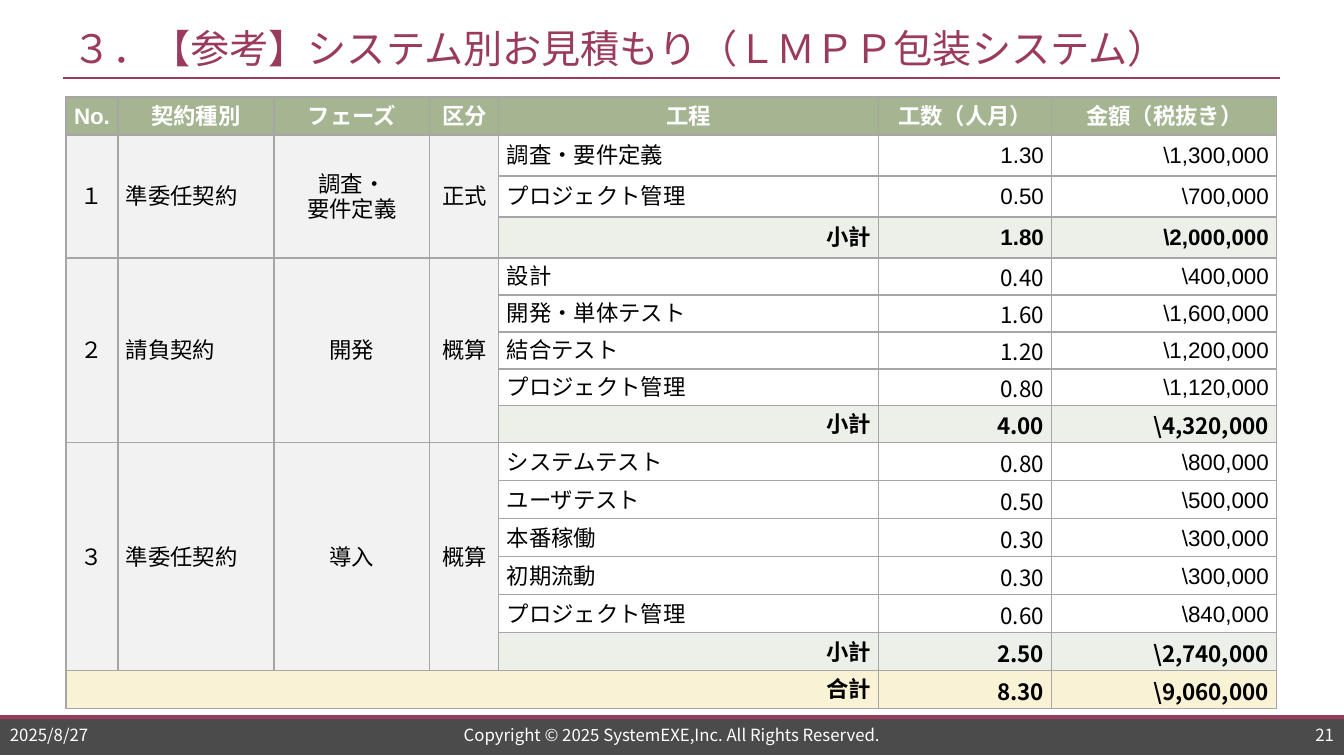
from lxml.etree import SubElement
from pptx import Presentation
from pptx.dml.color import RGBColor
from pptx.enum.shapes import MSO_CONNECTOR as Connector, MSO_SHAPE as Shape
from pptx.enum.text import MSO_ANCHOR as Anchor, PP_ALIGN as Align
from pptx.oxml.ns import qn
from pptx.util import Pt

WINE = RGBColor(0x9A, 0x3B, 0x5D)
CHARCOAL = RGBColor(0x4B, 0x4B, 0x4B)
WHITE = RGBColor(0xFF, 0xFF, 0xFF)
BLACK = RGBColor(0x00, 0x00, 0x00)
SAGE = RGBColor(0xA5, 0xB5, 0x92)
PALE_SAGE = RGBColor(0xED, 0xF0, 0xE9)
GREY = RGBColor(0xF2, 0xF2, 0xF2)
CREAM = RGBColor(0xFA, 0xF2, 0xD4)
BORDER = RGBColor(0xA6, 0xA6, 0xA6)
SANS, GOTHIC = "Arial", "Noto Sans CJK JP"

TITLE = "３．【参考】システム別お見積もり（ＬＭＰＰ包装システム）"
FOOTERS = [
    ("Copyright © 2025 SystemEXE,Inc. All Rights Reserved.", (335, 723, 674, 24), Align.CENTER),
    ("2025/8/27", (0, 723, 158, 24), Align.LEFT),
    ("21", (1186, 723, 158, 24), Align.RIGHT),
]
RULES = [((0, 717), (1344, 717), 2.75), ((63, 78), (1280, 78), 1.5)]
HEADINGS = ["No.", "契約種別", "フェーズ", "区分", "工程", "工数（人月）", "金額（税抜き）"]
COLUMN_WIDTHS = [52, 156, 156, 69, 380, 173, 225]
HEADER_HEIGHT, LAST_HEIGHT = 38, 38
TABLE_LEFT, TABLE_TOP = 66, 97
PHASES = [
    {"labels": ["１", "準委任契約", "調査・\n要件定義", "正式"], "height": 41,
     "hours_font": SANS, "subtotal_font": SANS,
     "tasks": [("調査・要件定義", 1.3, 1300000), ("プロジェクト管理", 0.5, 700000)]},
    {"labels": ["２", "請負契約", "開発", "概算"], "height": 37,
     "hours_font": GOTHIC, "subtotal_font": GOTHIC,
     "tasks": [("設計", 0.4, 400000), ("開発・単体テスト", 1.6, 1600000),
               ("結合テスト", 1.2, 1200000), ("プロジェクト管理", 0.8, 1120000)]},
    {"labels": ["３", "準委任契約", "導入", "概算"], "height": 38,
     "hours_font": GOTHIC, "subtotal_font": GOTHIC,
     "tasks": [("システムテスト", 0.8, 800000), ("ユーザテスト", 0.5, 500000),
               ("本番稼働", 0.3, 300000), ("初期流動", 0.3, 300000),
               ("プロジェクト管理", 0.6, 840000)]},
]
LABEL_ALIGNS = [Align.CENTER, Align.LEFT, Align.CENTER, Align.CENTER]


def px(length):
    return round(length * 914400 / 100.8)


def write(frame, text, align, name, size, color, bold=False):
    for index, line in enumerate(text.split("\n")):
        para = frame.paragraphs[0] if index == 0 else frame.add_paragraph()
        para.alignment = align
        span = para.add_run()
        span.text = line
        for key, value in {"name": name, "size": Pt(size), "bold": bold}.items():
            setattr(span.font, key, value)
        span.font.color.rgb = color
        SubElement(span.font._element, qn("a:ea")).set("typeface", name)


def add_text(page, text, place, align, size, color, wrap=True):
    frame = page.shapes.add_textbox(*map(px, place)).text_frame
    settings = {"word_wrap": wrap, "vertical_anchor": Anchor.MIDDLE,
                "margin_top": 0, "margin_bottom": 0}
    for key, value in settings.items():
        setattr(frame, key, value)
    write(frame, text, align, GOTHIC, size, color)


def add_rule(page, start, end, weight):
    rule = page.shapes.add_connector(Connector.STRAIGHT, *map(px, start + end))
    rule.line.color.rgb = WINE
    rule.line.width = Pt(weight)
    SubElement(rule._element.spPr, qn("a:effectLst"))


def style_cell(cell, fill):
    properties = cell._tc.get_or_add_tcPr()
    for side in ("lnL", "lnR", "lnT", "lnB"):
        line = SubElement(properties, qn(f"a:{side}"), w=str(Pt(1)))
        solid = SubElement(line, qn("a:solidFill"))
        SubElement(solid, qn("a:srgbClr"), val=str(BORDER))
    cell.fill.solid()
    cell.fill.fore_color.rgb = fill


def fill_cell(cell, text, align, name=SANS, color=BLACK, bold=False, side=8):
    settings = {"vertical_anchor": Anchor.MIDDLE, "margin_left": px(side),
                "margin_right": px(side), "margin_top": px(1), "margin_bottom": 0}
    for key, value in settings.items():
        setattr(cell, key, value)
    write(cell.text_frame, text, align, name, 16, color, bold)


def fill_sums(table, row, first, label, tasks, name, fill):
    hours = sum(task[1] for task in tasks)
    amount = sum(task[2] for task in tasks)
    for column, text, font in ((first, label, SANS), (5, f"{hours:.2f}", name),
                               (6, f"\\{amount:,}", name)):
        fill_cell(table.cell(row, column), text, Align.RIGHT, font, bold=True)
    for column in range(first, len(HEADINGS)):
        style_cell(table.cell(row, column), fill)


def add_estimate(page):
    heights = [HEADER_HEIGHT]
    for phase in PHASES:
        heights += [phase["height"]] * (len(phase["tasks"]) + 1)
    heights.append(LAST_HEIGHT)
    place = (TABLE_LEFT, TABLE_TOP, sum(COLUMN_WIDTHS), sum(heights))
    table = page.shapes.add_table(len(heights), len(HEADINGS), *map(px, place)).table
    table.first_row = table.horz_banding = False
    for column, width in zip(table.columns, COLUMN_WIDTHS):
        column.width = px(width)
    for row, height in zip(table.rows, heights):
        row.height = px(height)

    for column, heading in enumerate(HEADINGS):
        cell = table.cell(0, column)
        fill_cell(cell, heading, Align.CENTER, color=WHITE, bold=True, side=1)
        style_cell(cell, SAGE)

    row = 1
    for phase in PHASES:
        last = row + len(phase["tasks"])
        for column, (label, align) in enumerate(zip(phase["labels"], LABEL_ALIGNS)):
            for line in range(row, last + 1):
                style_cell(table.cell(line, column), GREY)
            cell = table.cell(row, column)
            cell.merge(table.cell(last, column))
            fill_cell(cell, label, align, side=8 if column else 0)
        for line, (task, hours, amount) in enumerate(phase["tasks"], row):
            values = ((task, Align.LEFT, SANS),
                      (f"{hours:.2f}", Align.RIGHT, phase["hours_font"]),
                      (f"\\{amount:,}", Align.RIGHT, SANS))
            for column, value in enumerate(values, 4):
                fill_cell(table.cell(line, column), *value)
                style_cell(table.cell(line, column), WHITE)
        fill_sums(table, last, 4, "小計", phase["tasks"], phase["subtotal_font"], PALE_SAGE)
        row = last + 1

    tasks = [task for phase in PHASES for task in phase["tasks"]]
    fill_sums(table, row, 0, "合計", tasks, GOTHIC, CREAM)
    table.cell(row, 0).merge(table.cell(row, 4))


def main():
    deck = Presentation()
    deck.slide_width, deck.slide_height = px(1344), px(756)
    page = deck.slides.add_slide(deck.slide_layouts[6])
    band = page.shapes.add_shape(Shape.RECTANGLE, *map(px, (0, 716, 1344, 39)))
    band.shadow.inherit = False
    band.fill.solid()
    band.fill.fore_color.rgb = CHARCOAL
    band.line.fill.background()
    for rule in RULES:
        add_rule(page, *rule)
    add_text(page, TITLE, (63, 20, 1217, 55), Align.LEFT, 28, WINE, wrap=False)
    for text, place, align in FOOTERS:
        add_text(page, text, place, align, 12, WHITE)
    add_estimate(page)
    deck.save("out.pptx")


if __name__ == "__main__":
    main()
